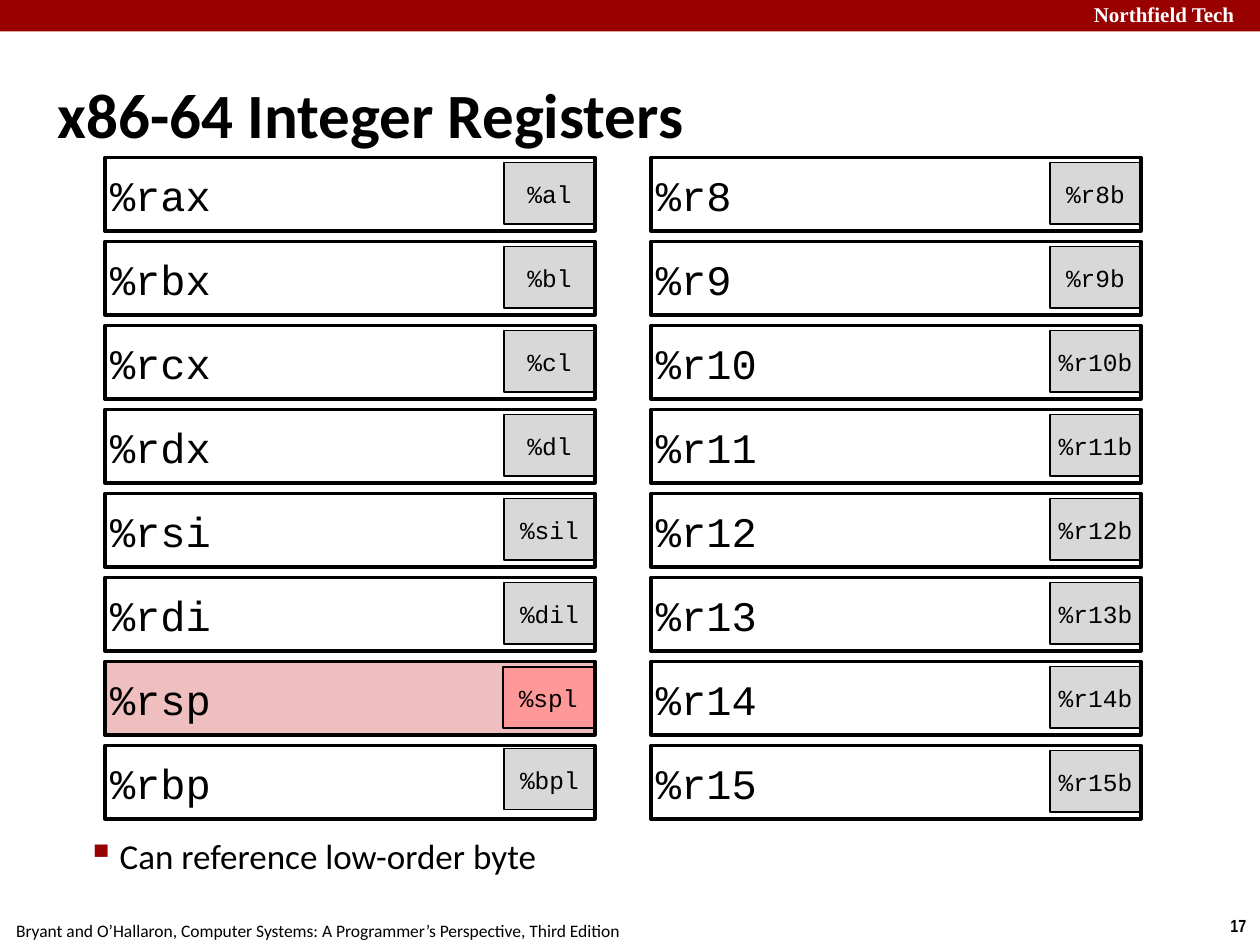
"""Draw the slide of x86-64 integer registers and their low-order bytes."""
from dataclasses import dataclass
from typing import Optional

import pptx
import pptx.dml.color
import pptx.enum.shapes
import pptx.enum.text
import pptx.oxml
import pptx.oxml.ns
import pptx.util

UNIT = 1 / 12
COLS, ROWS = 120, 90
LEFT, TOP = 10, 15
COL_STEP, ROW_STEP = 52, 8
RED, BLACK, WHITE, GREY = "990000", "000000", "FFFFFF", "D8D8D8"
MONO, SANS = "Courier New", "Calibri"
INSET = 0.04
ALIGN = pptx.enum.text.PP_ALIGN
ANCHOR = pptx.enum.text.MSO_ANCHOR


@dataclass(frozen=True)
class Box:
    left: float
    top: float
    width: float
    height: float

    def spots(self) -> list:
        return [grid(n) for n in (self.left, self.top, self.width, self.height)]


@dataclass(frozen=True)
class Font:
    name: str
    size: float
    bold: bool = False
    hue: str = BLACK


@dataclass(frozen=True)
class Reg:
    name: str
    byte: str
    fill: Optional[str] = None
    tint: str = GREY
    edge: float = 0.75
    right: float = 0
    down: float = 0


BANKS = (
    (
        Reg("%rax", "%al"), Reg("%rbx", "%bl"), Reg("%rcx", "%cl"), Reg("%rdx", "%dl"),
        Reg("%rsi", "%sil"), Reg("%rdi", "%dil"),
        Reg("%rsp", "%spl", "EFBFBF", "FF9999", 1, -0.12),
        Reg("%rbp", "%bpl", down=-0.2),
    ),
    tuple(Reg(f"%r{n}", f"%r{n}b") for n in range(8, 16)),
)


def grid(count: float) -> int:
    return pptx.util.Inches(count * UNIT)


def color(code: str) -> pptx.dml.color.RGBColor:
    return pptx.dml.color.RGBColor.from_string(code)


def write(shape, text: str, font: Font, align=ALIGN.LEFT, anchor=ANCHOR.TOP,
          inset: Optional[float] = INSET, wrap: bool = True):
    frame = shape.text_frame
    frame.auto_size = pptx.enum.text.MSO_AUTO_SIZE.NONE
    frame.word_wrap = wrap
    frame.vertical_anchor = anchor
    if inset is not None:
        for side in ("left", "top", "right", "bottom"):
            setattr(frame, f"margin_{side}", pptx.util.Inches(inset))
    frame.text = text
    para = frame.paragraphs[0]
    para.alignment = align
    para.font.name = font.name
    para.font.size = pptx.util.Pt(font.size)
    para.font.bold = font.bold
    para.font.color.rgb = color(font.hue)
    return para


def hang(para, margin: float, indent: float) -> None:
    props = para._p.get_or_add_pPr()
    props.set("marL", str(pptx.util.Inches(margin)))
    props.set("indent", str(pptx.util.Inches(indent)))


def mark(para, sign: str, hue: str, size: int) -> None:
    space = pptx.oxml.ns.nsdecls("a")
    props = para._p.get_or_add_pPr()
    for index, part in enumerate((
        f'<a:buClr {space}><a:srgbClr val="{hue}"/></a:buClr>',
        f'<a:buSzPct {space} val="{size * 1000}"/>',
        f'<a:buChar {space} char="{sign}"/>',
    )):
        spot = len(props.findall(pptx.oxml.ns.qn("a:spcBef"))) + index
        props.insert(spot, pptx.oxml.parse_xml(part))


def block(slide, box: Box, fill: Optional[str], edge: float = 0):
    kind = pptx.enum.shapes.MSO_SHAPE.RECTANGLE
    shape = slide.shapes.add_shape(kind, *box.spots())
    shape.shadow.inherit = False
    if fill:
        shape.fill.solid()
        shape.fill.fore_color.rgb = color(fill)
    else:
        shape.fill.background()
    if edge:
        shape.line.color.rgb = color(BLACK)
        shape.line.width = pptx.util.Pt(edge)
    else:
        shape.line.fill.background()
    return shape


def label(slide, box: Box, text: str, font: Font, **style):
    return write(slide.shapes.add_textbox(*box.spots()), text, font, **style)


def draw_frame(slide, reg: Reg, col: int, row: int) -> None:
    box = Box(LEFT + col * COL_STEP, TOP + row * ROW_STEP, 46.67, 7)
    write(block(slide, box, reg.fill, 2), reg.name, Font(MONO, 24), anchor=ANCHOR.MIDDLE)


def draw_byte(slide, reg: Reg, col: int, row: int) -> None:
    box = Box(LEFT + 38 + col * COL_STEP + reg.right,
              TOP + 0.5 + row * ROW_STEP + reg.down, 8.67, 5.83)
    write(block(slide, box, reg.tint, reg.edge), reg.byte, Font(MONO, 14),
          ALIGN.CENTER, ANCHOR.MIDDLE)


def draw_banks(slide) -> None:
    cells = [(reg, col, row) for col, bank in enumerate(BANKS)
             for row, reg in enumerate(bank)]
    for cell in cells:
        if cell[0].fill:
            draw_frame(slide, *cell)
    for cell in cells:
        draw_byte(slide, *cell)
    for cell in cells:
        if not cell[0].fill:
            draw_frame(slide, *cell)


def draw_trim(slide) -> None:
    block(slide, Box(0, 0, COLS, 3), RED)
    label(slide, Box(103.7, -0.36, 17.3, 3.36), "Northfield Tech",
          Font("Times New Roman", 12, True, WHITE))
    label(slide, Box(115.9, 86.6, 4.1, 3.2), "17", Font("Arial Narrow", 10, True),
          align=ALIGN.CENTER, inset=None, wrap=False)
    label(slide, Box(-0.24, 87, 61, 3.2),
          "Bryant and O’Hallaron, Computer Systems: A Programmer’s Perspective, Third Edition",
          Font(SANS, 10), align=ALIGN.CENTER, inset=None, wrap=False)


def draw_words(slide) -> None:
    title = slide.shapes.title
    title.left, title.top, title.width, title.height = Box(5, 3.33, 110, 15).spots()
    para = write(title, "x86-64 Integer Registers", Font(SANS, 36, True),
                 anchor=ANCHOR.MIDDLE)
    hang(para, 0.13, -0.13)
    note = label(slide, Box(4.2, 79, 96.2, 11), "Can reference low-order byte",
                 Font(SANS, 20))
    note.space_before = pptx.util.Pt(5)
    hang(note, 0.56, -0.26)
    mark(note, "▪", RED, 110)


def main() -> None:
    deck = pptx.Presentation()
    deck.slide_width, deck.slide_height = grid(COLS), grid(ROWS)
    slide = deck.slides.add_slide(deck.slide_layouts[5])
    draw_trim(slide)
    draw_words(slide)
    draw_banks(slide)
    deck.save("out.pptx")


if __name__ == "__main__":
    main()
